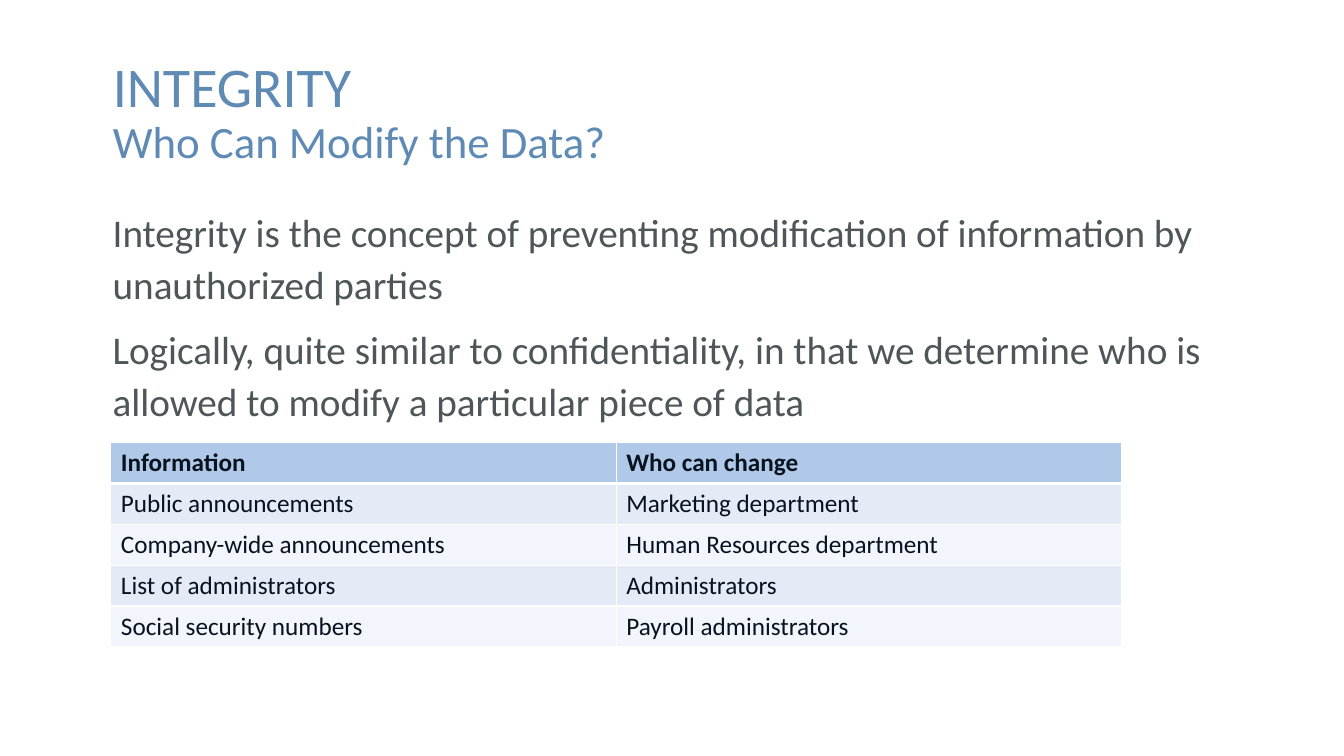
from dataclasses import dataclass

from lxml import etree
from pptx import Presentation
from pptx.dml.color import RGBColor
from pptx.enum.text import MSO_ANCHOR, MSO_AUTO_SIZE, PP_ALIGN
from pptx.oxml.ns import qn
from pptx.slide import Slide
from pptx.table import _Cell
from pptx.text.text import TextFrame, _Paragraph
from pptx.util import Pt

LEFT = PP_ALIGN.LEFT
TOP, MIDDLE = MSO_ANCHOR.TOP, MSO_ANCHOR.MIDDLE
NO_AUTOFIT = MSO_AUTO_SIZE.NONE
TITLE_ONLY = 5

FONT = "Calibri"
TITLE_BLUE = "5E8AB4"
BODY_GREY = "4E5659"
CELL_TEXT = "091320"
HEADER_FILL = "B1C9E8"
BAND_FILLS = ("E4EBF6", "F2F5FB")
BORDER = "FFFFFF"


@dataclass(frozen=True)
class Permission:
    information: str
    editor: str


HEADER = Permission("Information", "Who can change")
PERMISSIONS = (
    Permission("Public announcements", "Marketing department"),
    Permission("Company-wide announcements", "Human Resources department"),
    Permission("List of administrators", "Administrators"),
    Permission("Social security numbers", "Payroll administrators"),
)
STATEMENTS = (
    "Integrity is the concept of preventing modification of information by "
    "unauthorized parties",
    "Logically, quite similar to confidentiality, in that we determine who is "
    "allowed to modify a particular piece of data",
)


def color(value: str) -> RGBColor:
    return RGBColor.from_string(value)


def add_run(p: _Paragraph, text: str, size: float, fill: str, bold: bool = False) -> None:
    r = p.add_run()
    r.text = text
    r.font.name = FONT
    r.font.size = Pt(size)
    r.font.bold = bold
    r.font.color.rgb = color(fill)


def set_frame(tf: TextFrame, anchor: MSO_ANCHOR) -> None:
    tf.word_wrap = True
    tf.auto_size = NO_AUTOFIT
    tf.vertical_anchor = anchor


def add_title(slide: Slide) -> None:
    sp = slide.shapes.title
    sp.left, sp.top, sp.width, sp.height = Pt(73.4), Pt(28.8), Pt(820), Pt(104.4)
    set_frame(sp.text_frame, MIDDLE)
    p = sp.text_frame.paragraphs[0]
    p.alignment = LEFT
    p.line_spacing = 0.9
    add_run(p, "INTEGRITY", 40, TITLE_BLUE)
    p.add_line_break()
    add_run(p, "Who Can Modify the Data?", 32, TITLE_BLUE)


def add_statements(slide: Slide) -> None:
    sp = slide.shapes.add_textbox(Pt(73.4), Pt(141.8), Pt(813), Pt(183.6))
    tf = sp.text_frame
    set_frame(tf, TOP)
    for i, statement in enumerate(STATEMENTS):
        p = tf.add_paragraph() if i else tf.paragraphs[0]
        p.line_spacing = 1.1
        p.space_before = Pt(10 if i else 0)
        add_run(p, statement, 28, BODY_GREY)


def set_borders(cell: _Cell, top: float, bottom: float) -> None:
    """Draw the cell's borders; must run before the cell gets its fill."""
    tc_pr = cell._tc.get_or_add_tcPr()
    for side, width in (("L", 1), ("R", 1), ("T", top), ("B", bottom)):
        ln = etree.SubElement(tc_pr, qn(f"a:ln{side}"), w=str(Pt(width)))
        solid = etree.SubElement(ln, qn("a:solidFill"))
        etree.SubElement(solid, qn("a:srgbClr"), val=BORDER)


def add_permissions(slide: Slide) -> None:
    rows = (HEADER, *PERMISSIONS)
    row_height = 29.2
    frame = slide.shapes.add_table(
        len(rows), 2, Pt(79.2), Pt(316.1), Pt(722), Pt(row_height * len(rows))
    )
    table = frame.table
    for i, permission in enumerate(rows):
        table.rows[i].height = Pt(row_height)
        is_header = i == 0
        fill = HEADER_FILL if is_header else BAND_FILLS[(i - 1) % 2]
        for j, text in enumerate((permission.information, permission.editor)):
            cell = table.cell(i, j)
            set_borders(cell, 3 if i == 1 else 1, 3 if is_header else 1)
            cell.fill.solid()
            cell.fill.fore_color.rgb = color(fill)
            add_run(cell.text_frame.paragraphs[0], text, 18, CELL_TEXT, is_header)


def main() -> None:
    prs = Presentation()
    prs.slide_width, prs.slide_height = Pt(960), Pt(540)
    slide = prs.slides.add_slide(prs.slide_layouts[TITLE_ONLY])
    add_title(slide)
    add_statements(slide)
    add_permissions(slide)
    prs.save("out.pptx")


if __name__ == "__main__":
    main()
